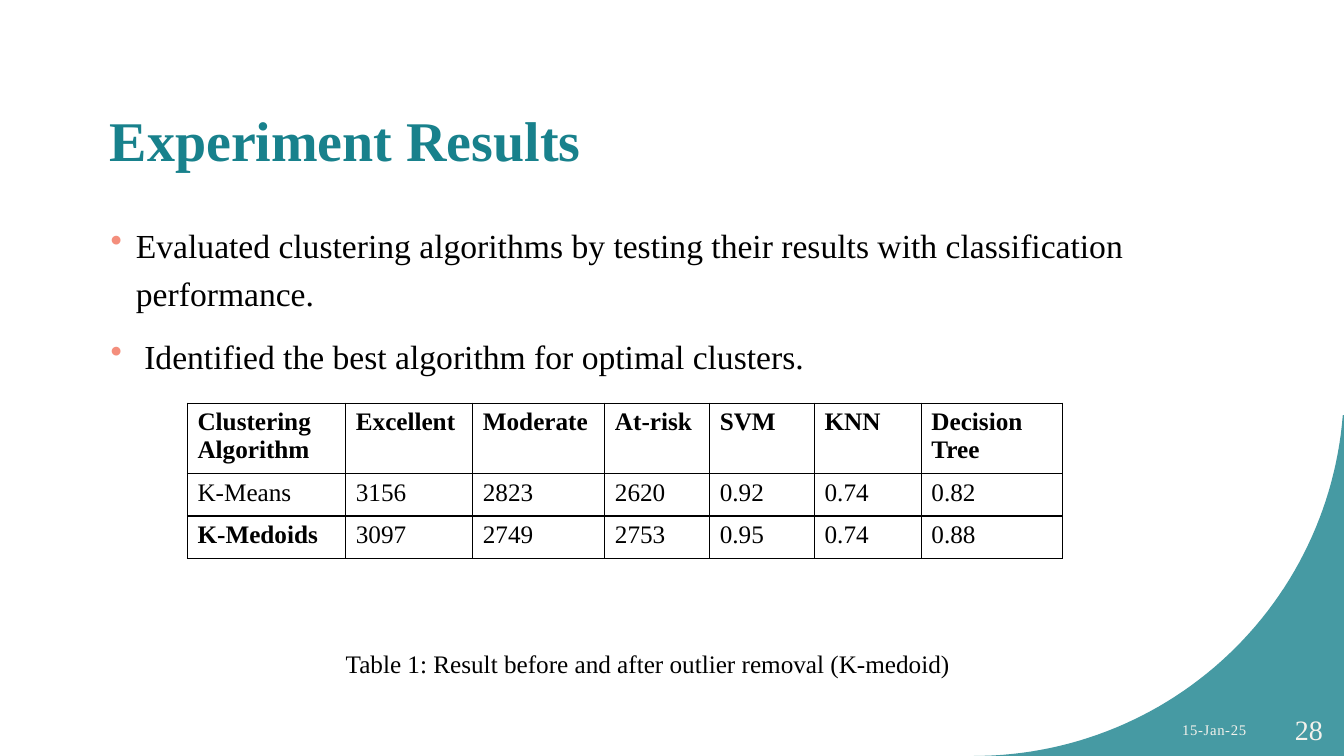
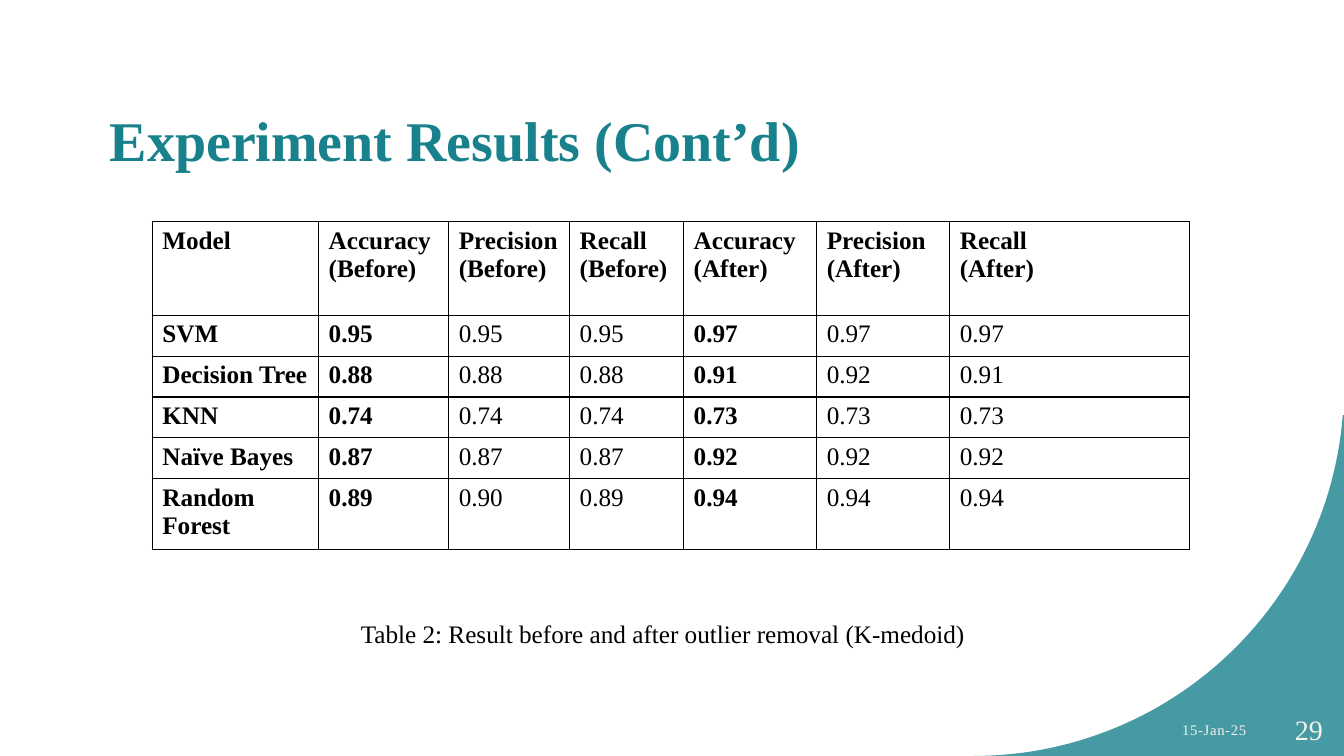
import math

from lxml import etree
from pptx import Presentation
from pptx.dml.color import RGBColor
from pptx.enum.text import MSO_ANCHOR, PP_ALIGN
from pptx.oxml.ns import qn
from pptx.util import Inches, Pt

LEFT, RIGHT = PP_ALIGN.LEFT, PP_ALIGN.RIGHT
TOP, MIDDLE = MSO_ANCHOR.TOP, MSO_ANCHOR.MIDDLE

W, H = Inches(13.33), Inches(7.5)
FONT = "Times New Roman"
TEAL, CORAL, CREAM, BLACK = "18818C", "F48E7C", "F4F2EC", "000000"
DATE = "15-Jan-25"
BODY_SIZE, TABLE_SIZE = 24, 18

# Boxes are left, top, width, height in percent of the slide
TITLE_BOX = (7.43, 8.67, 81.32, 19.33)
BODY_BOX = (7.5, 28, 81.32, 60.13)
DATE_BOX = (76.52, 93.87, 16.95, 5.33)
NUMBER_BOX = (93.47, 93.87, 5.7, 5.33)

CLUSTERS = [
    ["Clustering Algorithm", "Excellent", "Moderate", "At-risk", "SVM", "KNN", "Decision Tree"],
    ["K-Means", "3156", "2823", "2620", "0.92", "0.74", "0.82"],
    ["K-Medoids", "3097", "2749", "2753", "0.95", "0.74", "0.88"],
]
MODELS = [
    ["Model"] + [f"{measure}\n({stage})" for stage in ("Before", "After")
                 for measure in ("Accuracy", "Precision", "Recall")],
    ["SVM", "0.95", "0.95", "0.95", "0.97", "0.97", "0.97"],
    ["Decision Tree", "0.88", "0.88", "0.88", "0.91", "0.92", "0.91"],
    ["KNN", "0.74", "0.74", "0.74", "0.73", "0.73", "0.73"],
    ["Naïve Bayes", "0.87", "0.87", "0.87", "0.92", "0.92", "0.92"],
    ["Random Forest", "0.89", "0.90", "0.89", "0.94", "0.94", "0.94"],
]


def rgb(color):
    return RGBColor.from_string(color)


def across(percent):
    return round(W * percent / 100)


def down(percent):
    return round(H * percent / 100)


def write(p, text, size=18, color=BLACK, bold=False, align=LEFT, spacing=0):
    """Fill a paragraph; spacing is between letters, in points."""
    p.text = text
    p.alignment = align
    for r in p.runs:
        font = r.font
        font.name, font.size, font.bold = FONT, Pt(size), bold
        font.color.rgb = rgb(color)
        if spacing:
            font._element.set("spc", str(round(spacing * 100)))


def add_frame(slide, box, anchor=TOP):
    x, y, w, h = box
    sp = slide.shapes.add_textbox(across(x), down(y), across(w), down(h))
    tf = sp.text_frame
    tf.word_wrap = True
    tf.vertical_anchor = anchor
    return tf


def add_text(slide, box, text, anchor=TOP, **style):
    write(add_frame(slide, box, anchor).paragraphs[0], text, **style)


def add_bullets(slide, box, items):
    tf = add_frame(slide, box)
    for i, item in enumerate(items):
        p = tf.add_paragraph() if i else tf.paragraphs[0]
        write(p, item, size=BODY_SIZE)
        p.line_spacing = 1.2
        p.space_before = Pt(10)
        pPr = p._p.get_or_add_pPr()
        pPr.set("marL", str(Inches(0.25)))
        pPr.set("indent", str(-Inches(0.25)))
        bullet_color = etree.SubElement(pPr, qn("a:buClr"))
        etree.SubElement(bullet_color, qn("a:srgbClr"), val=CORAL)
        etree.SubElement(pPr, qn("a:buChar"), char="•")


def set_borders(cell, color=BLACK, width=1):
    tcPr = cell._tc.get_or_add_tcPr()
    for i, side in enumerate(("lnL", "lnR", "lnT", "lnB")):
        ln = etree.Element(qn(f"a:{side}"), w=str(Pt(width)))
        fill = etree.SubElement(ln, qn("a:solidFill"))
        etree.SubElement(fill, qn("a:srgbClr"), val=color)
        tcPr.insert(i, ln)


def add_grid(slide, x, y, w, columns, heights, rows, is_bold):
    """Draw a table of width w, shared out in proportion to columns."""
    frame = slide.shapes.add_table(len(rows), len(columns), across(x), down(y),
                                   across(w), down(sum(heights)))
    table = frame.table
    table.first_row = table.horz_banding = False
    for column, share in zip(table.columns, columns):
        column.width = across(w * share / sum(columns))
    for i, (row, height) in enumerate(zip(rows, heights)):
        table.rows[i].height = down(height)
        for j, text in enumerate(row):
            cell = table.cell(i, j)
            cell.fill.background()
            set_borders(cell)
            write(cell.text_frame.paragraphs[0], text, size=TABLE_SIZE, bold=is_bold(i, j))


def add_corner(slide):
    """Fill the bottom right corner outside a quarter circle."""
    radius = Inches(3.67)
    steps = 60
    angles = [math.pi / 2 * i / steps for i in range(3, steps + 1)]
    arc = [(W - radius + radius * math.cos(a), H - radius + radius * math.sin(a))
           for a in angles]
    builder = slide.shapes.build_freeform(W, H)
    builder.add_line_segments([(W, arc[0][1])] + arc, close=True)
    sp = builder.convert_to_shape()
    sp.shadow.inherit = False
    sp.line.fill.background()
    sp.fill.solid()
    sp.fill.fore_color.rgb = rgb(TEAL)
    tint = sp._element.spPr.find(qn("a:solidFill"))[0]
    etree.SubElement(tint, qn("a:alpha"), val="80000")


def add_slide(prs, title, number):
    slide = prs.slides.add_slide(prs.slide_layouts[6])
    add_corner(slide)
    add_text(slide, TITLE_BOX, title, MIDDLE, size=40, color=TEAL, bold=True)
    add_text(slide, NUMBER_BOX, str(number), MIDDLE, size=20, color=CREAM, align=RIGHT)
    add_text(slide, DATE_BOX, DATE, MIDDLE, size=10.5, color=CREAM, align=RIGHT, spacing=0.5)
    return slide


def add_cluster_slide(prs):
    slide = add_slide(prs, "Experiment Results", 28)
    add_bullets(slide, BODY_BOX, [
        "Evaluated clustering algorithms by testing their results with classification performance.",
        " Identified the best algorithm for optimal clusters.",
    ])
    add_grid(slide, 13.95, 53.33, 65.12, [1.57, 1.26, 1.31, 1.04, 1.04, 1.06, 1.4],
             [8.8, 5.6, 5.6], CLUSTERS, lambda i, j: i == 0 or (i, j) == (2, 0))
    add_text(slide, (24.98, 85.07, 50.04, 5.33),
             "Table 1: Result before and after outlier removal (K-medoid)")


def add_model_slide(prs):
    slide = add_slide(prs, "Experiment Results (Cont’d)", 29)
    add_grid(slide, 11.33, 29.33, 77.2, [1.65, 1.29, 1.2, 1.13, 1.32, 1.32, 2.38],
             [12.4] + [5.4] * 4 + [8.8], MODELS, lambda i, j: i == 0 or j in (0, 1, 4))
    add_text(slide, (26.11, 81.07, 52.66, 5.33),
             "Table 2: Result before and after outlier removal (K-medoid)")


def main():
    prs = Presentation()
    prs.slide_width, prs.slide_height = W, H
    add_cluster_slide(prs)
    add_model_slide(prs)
    prs.save("out.pptx")


if __name__ == "__main__":
    main()
